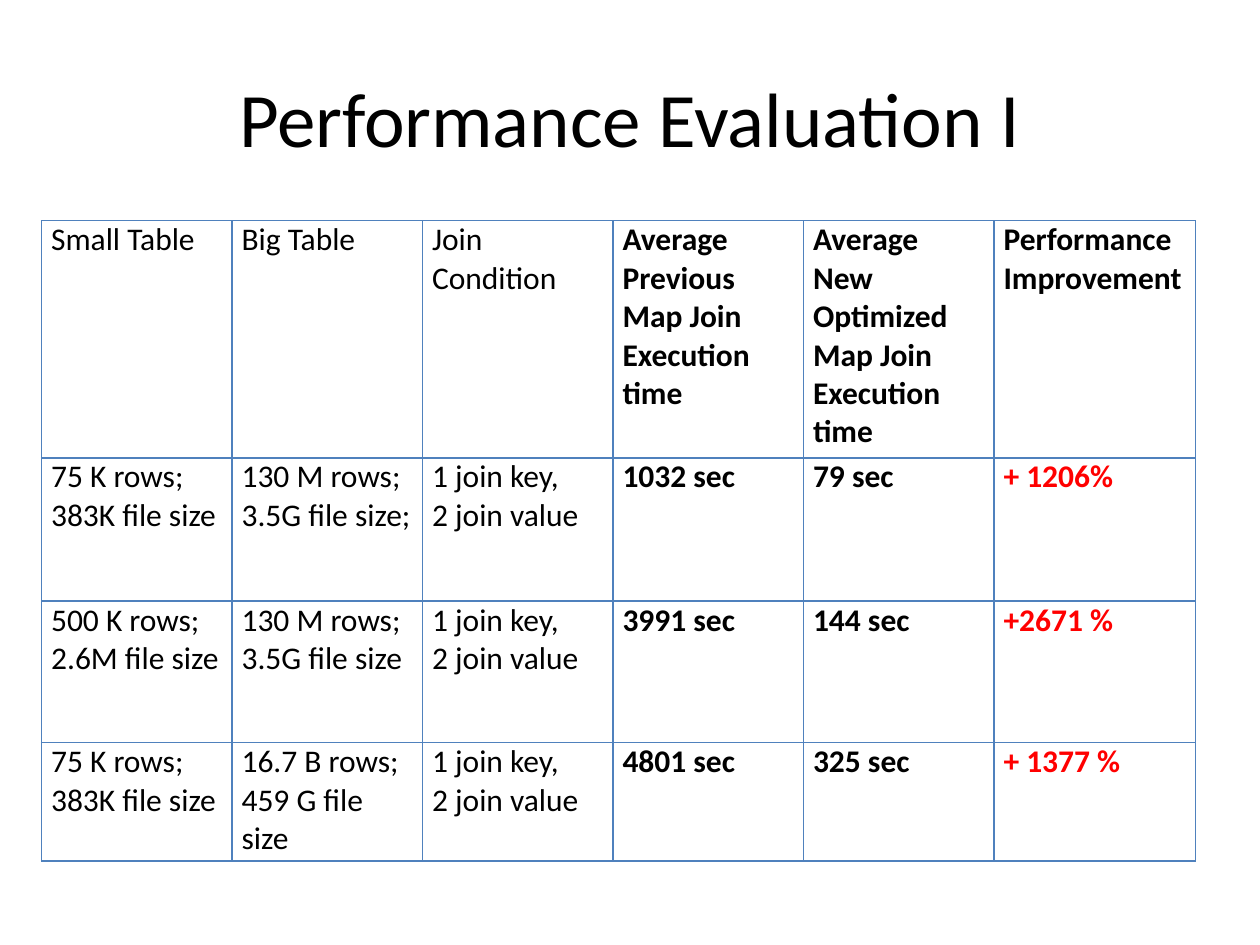
from lxml.etree import SubElement as Sub
from pptx import Presentation
from pptx.dml.color import RGBColor as Rgb
from pptx.enum.text import MSO_ANCHOR as Anchor, PP_ALIGN as Align
from pptx.oxml.ns import qn
from pptx.util import Cm, Pt

BLACK, RED, BLUE = "000000", "FF0000", "4F81BD"
WIDTHS = [3.84] * 5 + [4.06]
HEIGHTS = [4.78, 2.89, 2.85, 2.39]
JOIN = "1 join key,\n2 join value"
ROWS = [
    ["Small Table", "Big Table", "Join Condition",
     "Average Previous Map Join Execution time",
     "Average New Optimized Map Join Execution time",
     "Performance Improvement"],
    ["75 K rows;\n383K file size", "130 M rows;\n3.5G file size;", JOIN,
     "1032 sec", "79 sec", "+ 1206%"],
    ["500 K rows;\n2.6M file size", "130 M rows;\n3.5G file size", JOIN,
     "3991 sec", "144 sec", "+2671 %"],
    ["75 K rows;\n383K file size", "16.7 B rows;\n459 G file size", JOIN,
     "4801 sec", "325 sec", "+ 1377 %"],
]


def paint(font, tint):
    """Colour a font from a hex string."""
    font.color.rgb = Rgb.from_string(tint)


def write(frame, text, size, tint=BLACK, bold=False, align=Align.LEFT):
    """Put text in a frame, one paragraph a line."""
    frame.text = text
    for para in frame.paragraphs:
        para.alignment = align
        para.font.name = "Calibri"
        para.font.size = Pt(size)
        para.font.bold = bold
        paint(para.font, tint)


def add_title(slide, text):
    """Add the centred slide title."""
    box = slide.shapes.add_textbox(Cm(1.27), Cm(0.76), Cm(22.86), Cm(3.18))
    frame = box.text_frame
    frame.word_wrap = True
    frame.vertical_anchor = Anchor.MIDDLE
    write(frame, text, 44, align=Align.CENTER)


def rule(cell, tint):
    """Draw a thin line on all four sides of a cell."""
    props = cell._tc.get_or_add_tcPr()
    for side in ("lnL", "lnR", "lnT", "lnB"):
        line = Sub(props, qn(f"a:{side}"), w=str(Pt(1)))
        fill = Sub(line, qn("a:solidFill"))
        Sub(fill, qn("a:srgbClr"), val=tint)


def fill_cell(cell, text, row, col):
    """Write and style one table cell."""
    cell.margin_left = cell.margin_right = Cm(0.19)
    cell.margin_top = cell.margin_bottom = 0
    rule(cell, BLUE)
    cell.fill.background()
    tint = RED if row and col == len(WIDTHS) - 1 else BLACK
    write(cell.text_frame, text, 18, tint, bold=col >= 3)


def add_grid(slide):
    """Add the table of join timings."""
    table = slide.shapes.add_table(
        len(ROWS), len(WIDTHS), Cm(0.84), Cm(4.45),
        Cm(sum(WIDTHS)), Cm(sum(HEIGHTS))).table
    table.first_row = table.horz_banding = False
    for col, width in zip(table.columns, WIDTHS):
        col.width = Cm(width)
    for row, height in zip(table.rows, HEIGHTS):
        row.height = Cm(height)
    for r, texts in enumerate(ROWS):
        for c, text in enumerate(texts):
            fill_cell(table.cell(r, c), text, r, c)


def main():
    """Build and save the slide."""
    deck = Presentation()
    deck.slide_width, deck.slide_height = Cm(25.4), Cm(19.05)
    slide = deck.slides.add_slide(deck.slide_layouts[6])
    add_title(slide, "Performance Evaluation I")
    add_grid(slide)
    deck.save("out.pptx")


if __name__ == "__main__":
    main()
